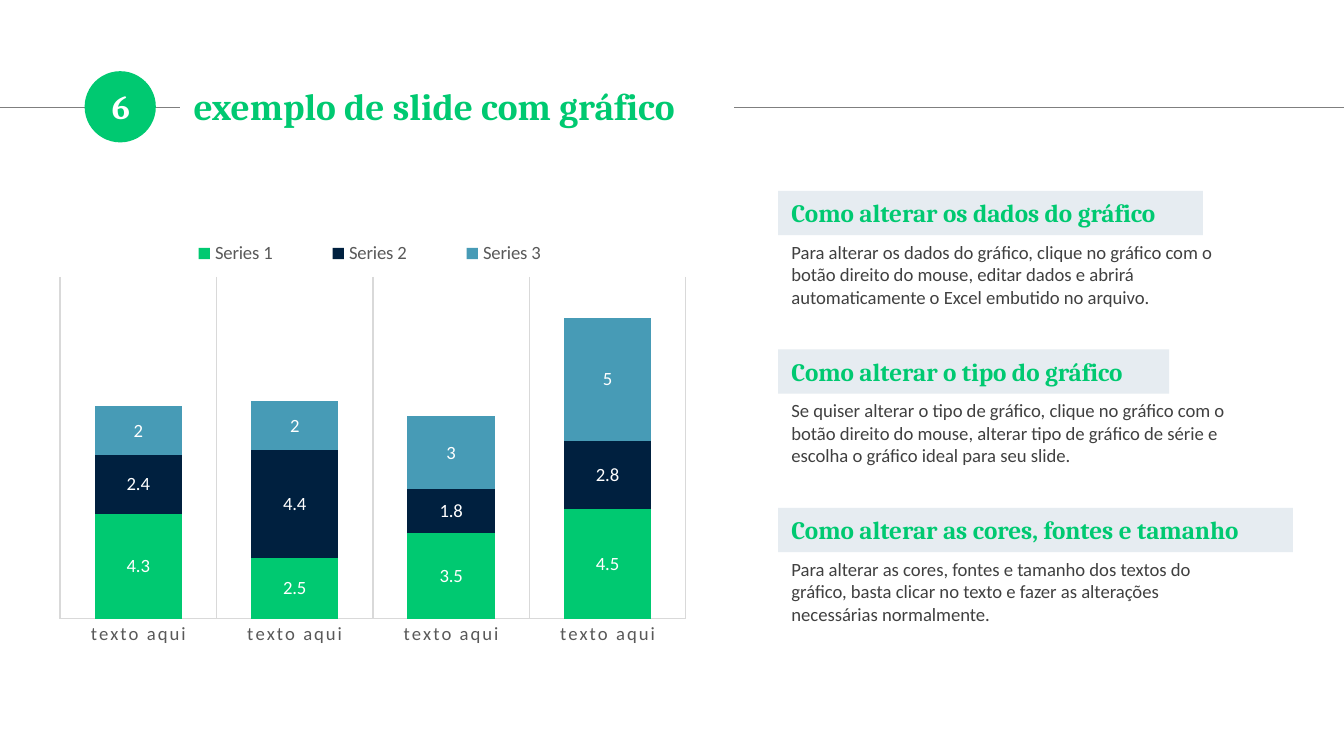
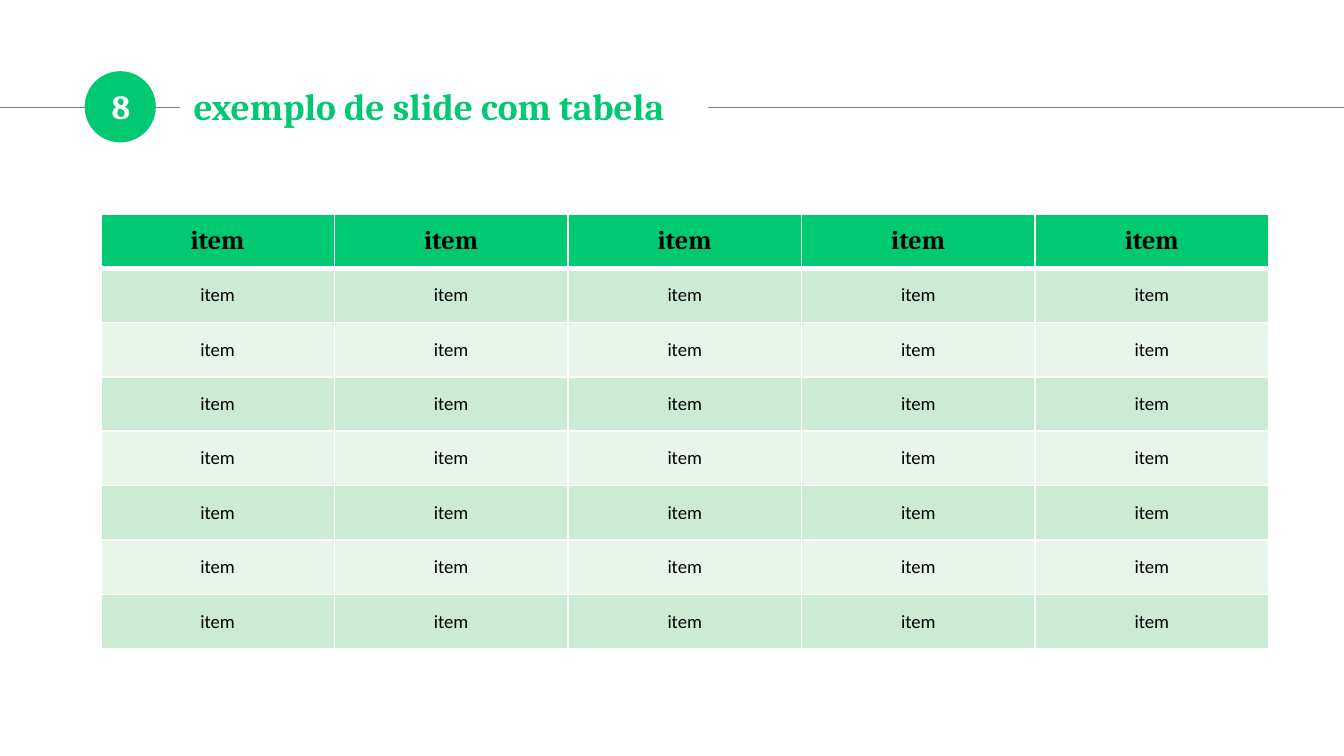
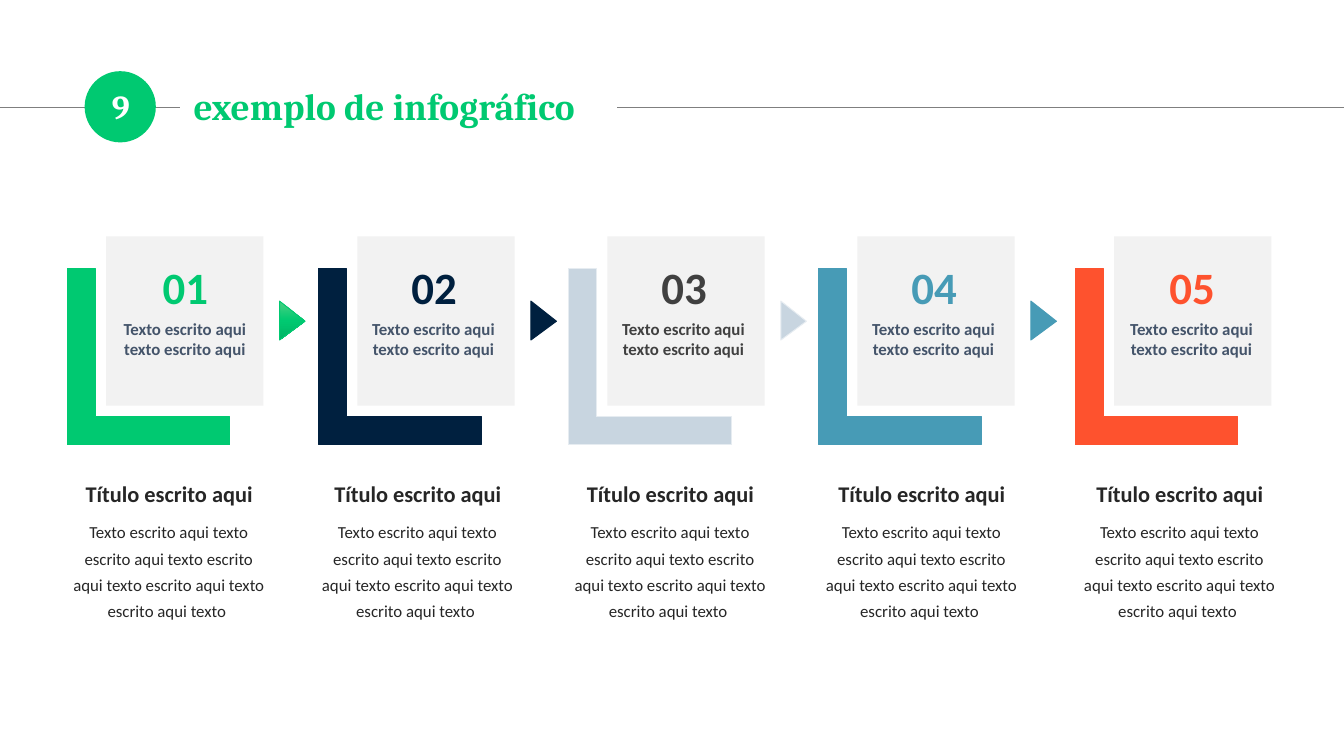
"""Build three example slides: a chart, a table and an infographic."""
from copy import deepcopy
from dataclasses import dataclass

from lxml.etree import SubElement
from pptx import Presentation
from pptx.chart.data import CategoryChartData
from pptx.dml.color import RGBColor
from pptx.enum.chart import XL_CHART_TYPE as ChartType
from pptx.enum.chart import XL_LABEL_POSITION as LabelPos
from pptx.enum.chart import XL_LEGEND_POSITION as LegendPos
from pptx.enum.chart import XL_TICK_MARK as Tick
from pptx.enum.shapes import MSO_CONNECTOR as Connector
from pptx.enum.shapes import MSO_SHAPE as Shape
from pptx.enum.text import MSO_ANCHOR as Anchor
from pptx.enum.text import MSO_AUTO_SIZE as AutoSize
from pptx.enum.text import PP_ALIGN as Align
from pptx.oxml.ns import qn
from pptx.util import Inches, Pt

COLORS = {
    "green": "00C971", "light_green": "4BD082", "dark_green": "00B364",
    "navy": "00203F", "blue": "479BB6", "orange": "FE522E",
    "mist": "C8D5E0", "pale": "E6ECF1", "panel": "F2F2F2",
    "white": "FFFFFF", "black": "000000", "ink": "262626",
    "text": "404040", "slate": "44546A", "label": "595959",
    "rule": "7F7F7F", "grid": "D9D9D9",
    "band_dark": "CCEBD5", "band_light": "E7F5EB",
}

STYLES = {
    "title": {"name": "Cambria", "size": Pt(20), "bold": True},
    "badge": {"name": "Cambria", "size": Pt(18), "bold": True},
    "heading": {"name": "Cambria", "size": Pt(13.5), "bold": True},
    "header": {"name": "Cambria", "size": Pt(14), "bold": True},
    "body": {"name": "Calibri", "size": Pt(10), "bold": False},
    "number": {"name": "Calibri", "size": Pt(24), "bold": True},
    "note": {"name": "Calibri", "size": Pt(9), "bold": True},
    "caption": {"name": "Calibri", "size": Pt(12), "bold": True},
    "detail": {"name": "Calibri", "size": Pt(9), "bold": False},
}

HEADER_SPACING = {"line_spacing": 0.9, "space_before": Pt(7.5)}


@dataclass
class Tip:
    """A highlighted heading with an explanation under it."""
    heading: str
    text: str
    top: float
    width: float
    text_height: float


@dataclass
class Step:
    """One column of the infographic."""
    color: str
    outline: str
    number_color: str
    note_color: str
    left: float
    note_left: float
    caption_left: float


TIPS = [
    Tip("Como alterar os dados do gráfico",
        "Para alterar os dados do gráfico, clique no gráfico com o botão direito do mouse, "
        "editar dados e abrirá automaticamente o Excel embutido no arquivo.",
        1.42, 3.16, 0.61),
    Tip("Como alterar o tipo do gráfico",
        "Se quiser alterar o tipo de gráfico, clique no gráfico com o botão direito do mouse, "
        "alterar tipo de gráfico de série e escolha o gráfico ideal para seu slide.",
        2.6, 2.91, 0.77),
    Tip("Como alterar as cores, fontes e tamanho",
        "Para alterar as cores, fontes e tamanho dos textos do gráfico, basta clicar no texto "
        "e fazer as alterações necessárias normalmente.",
        3.78, 3.83, 0.61),
]

SERIES = {
    "Series 1": ("green", (4.3, 2.5, 3.5, 4.5)),
    "Series 2": ("navy", (2.4, 4.4, 1.8, 2.8)),
    "Series 3": ("blue", (2, 2, 3, 5)),
}

STEPS = [
    Step("green", "green", "green", "slate", 0.5, 0.81, 0.38),
    Step("navy", "navy", "navy", "slate", 2.37, 2.66, 2.23),
    Step("mist", "pale", "text", "text", 4.23, 4.52, 4.11),
    Step("blue", "blue", "blue", "slate", 6.09, 6.38, 5.98),
    Step("orange", "orange", "orange", "slate", 8, 8.3, 7.9),
]


def rgb(name: str) -> RGBColor:
    """Return a palette colour."""
    return RGBColor.from_string(COLORS[name])


def set_font(font, style: str, color: str) -> None:
    """Apply a named style and a colour to a font."""
    for key, value in STYLES[style].items():
        setattr(font, key, value)
    font.color.rgb = rgb(color)


def write(tf, text: str, style: str, color: str, **formats):
    """Write one formatted paragraph and return it."""
    p = tf.paragraphs[0]
    for key, value in formats.items():
        setattr(p, key, value)
    r = p.add_run()
    r.text = text
    set_font(r.font, style, color)
    return p


def place(sp, left: float, top: float, width: float, height: float) -> None:
    """Move and size a shape in inches."""
    box = {"left": left, "top": top, "width": width, "height": height}
    for key, value in box.items():
        setattr(sp, key, Inches(value))


def paint(sp, fill: str, outline: str | None = None):
    """Give a shape a flat fill and an optional thin outline."""
    sp.shadow.inherit = False
    sp.fill.solid()
    sp.fill.fore_color.rgb = rgb(fill)
    if outline:
        sp.line.color.rgb = rgb(outline)
        sp.line.width = Pt(0.5)
    else:
        sp.line.fill.background()
    return sp


def add_block(s, kind, box: tuple, fill: str):
    """Add a plain filled preset shape."""
    return paint(s.shapes.add_shape(kind, *map(Inches, box)), fill)


def add_text(s, box: tuple, text: str, style: str, color: str, **formats) -> None:
    """Add a wrapping text box that grows with its text."""
    tf = s.shapes.add_textbox(*map(Inches, box)).text_frame
    tf.word_wrap = True
    tf.auto_size = AutoSize.SHAPE_TO_FIT_TEXT
    write(tf, text, style, color, **formats)


def add_outline(s, points: list, fill: str, outline: str):
    """Add a closed freeform through points given in inches."""
    (x, y), *rest = [(Inches(px), Inches(py)) for px, py in points]
    builder = s.shapes.build_freeform(x, y)
    builder.add_line_segments(rest, close=True)
    return paint(builder.convert_to_shape(), fill, outline)


def add_slide(prs, number: str, title: str, title_width: float):
    """Add a slide with the shared rule, numbered circle and title."""
    s = prs.slides.add_slide(prs.slide_layouts[1])
    rule = s.shapes.add_connector(
        Connector.STRAIGHT, 0, Inches(0.8), prs.slide_width, Inches(0.8))
    rule.line.color.rgb = rgb("rule")
    rule.line.width = Pt(0.75)
    SubElement(rule._element.spPr, qn("a:effectLst"))
    circle = add_block(s, Shape.OVAL, (0.63, 0.53, 0.53, 0.53), "green")
    for i, sp in enumerate((rule, circle), start=2):
        s.shapes._spTree.insert(i, sp._element)

    heading, badge = s.shapes.title, s.placeholders[1]
    place(heading, 1.34, 0.58, title_width, 0.45)
    heading.fill.solid()
    heading.fill.fore_color.rgb = rgb("white")
    place(badge, 0.55, 0.6, 0.7, 0.41)
    for sp in (heading, badge):
        sp.text_frame.auto_size = AutoSize.NONE
        sp.text_frame.vertical_anchor = Anchor.MIDDLE
    write(heading.text_frame, title, "title", "green", alignment=Align.LEFT, **HEADER_SPACING)
    p = write(badge.text_frame, number, "badge", "white",
              alignment=Align.CENTER, **HEADER_SPACING)
    pPr = p._p.get_or_add_pPr()
    pPr.set("marL", "0")
    pPr.set("indent", "0")
    SubElement(pPr, qn("a:buNone"))
    return s


def set_layout(parent, index: int, inner: bool, **box: float) -> None:
    """Fix the position of a chart part as fractions of the chart."""
    for old in parent.findall(qn("c:layout")):
        parent.remove(old)
    layout = SubElement(parent, qn("c:layout"))
    parent.insert(index, layout)
    manual = SubElement(layout, qn("c:manualLayout"))
    if inner:
        SubElement(manual, qn("c:layoutTarget")).set("val", "inner")
    for mode in ("xMode", "yMode"):
        SubElement(manual, qn(f"c:{mode}")).set("val", "edge")
    for key, value in box.items():
        SubElement(manual, qn(f"c:{key}")).set("val", str(value))


def add_stacked_chart(s) -> None:
    """Add the stacked column chart."""
    data = CategoryChartData()
    data.categories = ["texto aqui"] * 4
    for name, (_, values) in SERIES.items():
        data.add_series(name, values)
    box = map(Inches, (0.35, 1.68, 4.85, 3.18))
    chart = s.shapes.add_chart(ChartType.COLUMN_STACKED, *box, data).chart
    chart.has_title = False
    set_font(chart.font, "body", "black")

    chart.has_legend = True
    legend = chart.legend
    legend.position = LegendPos.TOP
    legend.include_in_layout = False
    set_font(legend.font, "body", "label")
    set_layout(legend._element, 1, False, x=0.15, y=0.02, w=0.69, h=0.09)
    set_layout(chart._chartSpace.chart.plotArea, 0, True, x=0.02, y=0.12, w=0.96, h=0.8)

    values = chart.value_axis
    values.visible = False
    values.has_major_gridlines = False
    values.minimum_scale, values.maximum_scale = 0, 14
    axis = chart.category_axis
    axis.has_major_gridlines = True
    axis.major_tick_mark = axis.minor_tick_mark = Tick.NONE
    for line in (axis.format.line, axis.major_gridlines.format.line):
        line.color.rgb = rgb("grid")
        line.width = Pt(0.75)
    font = axis.tick_labels.font
    set_font(font, "body", "label")
    font._rPr.set("spc", "120")

    plot = chart.plots[0]
    plot.gap_width, plot.overlap, plot.vary_by_categories = 79, 100, False
    for series, (color, _) in zip(plot.series, SERIES.values()):
        series.format.fill.solid()
        series.format.fill.fore_color.rgb = rgb(color)
        labels = series.data_labels
        labels.show_value = True
        labels.position = LabelPos.CENTER
        set_font(labels.font, "body", "white")


def add_tip(s, tip: Tip) -> None:
    """Add a highlighted heading and its explanation."""
    add_text(s, (5.79, tip.top + 0.32, 3.42, tip.text_height), tip.text, "body", "text")
    band = add_block(s, Shape.RECTANGLE, (5.79, tip.top, tip.width, 0.33), "pale")
    tf = band.text_frame
    tf.word_wrap = False
    tf.auto_size = AutoSize.SHAPE_TO_FIT_TEXT
    tf.vertical_anchor = Anchor.TOP
    write(tf, tip.heading, "heading", "green", alignment=Align.LEFT)


def set_borders(cell, **widths: float) -> None:
    """Draw white cell borders with widths in points, keyed by side."""
    tcPr = cell._tc.get_or_add_tcPr()
    for side, width in widths.items():
        ln = SubElement(tcPr, qn(f"a:ln{side}"), w=str(Pt(width)))
        fill = SubElement(ln, qn("a:solidFill"))
        SubElement(fill, qn("a:srgbClr"), val=COLORS["white"])


def add_item_table(s, rows: int = 8, cols: int = 5) -> None:
    """Add the banded table with its header row."""
    box = map(Inches, (0.75, 1.59, 8.69, 3.24))
    table = s.shapes.add_table(rows, cols, *box).table
    for i, row in enumerate(table.rows):
        style = "body" if i else "header"
        fill = ("band_dark" if i % 2 else "band_light") if i else "green"
        for cell in row.cells:
            set_borders(cell, L=1, R=1, T=3 if i == 1 else 1, B=1 if i else 3)
            cell.fill.solid()
            cell.fill.fore_color.rgb = rgb(fill)
            cell.vertical_anchor = Anchor.MIDDLE
            write(cell.text_frame, "item", style, "black", alignment=Align.CENTER)


def shade(sp, names: tuple) -> None:
    """Fill a shape with an even three-stop gradient from top to bottom."""
    sp.fill.gradient()
    sp.fill.gradient_angle = 270
    first = sp.fill.gradient_stops[0]._gs
    first.addnext(deepcopy(first))
    for i, (stop, name) in enumerate(zip(sp.fill.gradient_stops, names)):
        stop.position = i / 2
        stop.color.rgb = rgb(name)


def add_step(s, index: int, step: Step) -> None:
    """Add one infographic column, with an arrow unless it is the last."""
    x = step.left
    add_block(s, Shape.RECTANGLE, (x + 0.29, 1.76, 1.17, 1.26), "panel")
    bracket = [(x + 0.21, 3.1), (x + 0.21, 2), (x, 2), (x, 3.31), (x + 1.21, 3.31),
               (x + 1.21, 3.1)]
    add_outline(s, bracket, step.color, step.outline)
    if index < len(STEPS):
        tail = x + 1.58
        points = [(tail, 2.53), (tail, 2.24), (tail + 0.19, 2.39)]
        arrow = add_outline(s, points, step.color, step.outline)
        if index == 1:
            shade(arrow, ("light_green", "green", "dark_green"))

    note, caption = step.note_left, step.caption_left
    center = {"alignment": Align.CENTER}
    add_text(s, (note, 2.32, 1.13, 0.56), "Texto escrito aqui texto escrito aqui",
             "note", step.note_color, **center)
    add_text(s, (note + 0.17, 1.88, 0.8, 0.5), f"{index:02}",
             "number", step.number_color, **center)
    add_text(s, (caption, 3.52, 1.76, 0.3), "Título escrito aqui", "caption", "ink", **center)
    add_text(s, (caption + 0.04, 3.79, 1.67, 0.88),
             "Texto escrito aqui" + " texto escrito aqui" * 4 + " texto ",
             "detail", "ink", line_spacing=1.3, **center)


def main() -> None:
    """Build and save the presentation."""
    prs = Presentation()
    prs.slide_width = Inches(10)
    prs.slide_height = prs.slide_width * 9 // 16

    s = add_slide(prs, "6", "exemplo de slide com gráfico", 4.12)
    add_stacked_chart(s)
    for tip in TIPS:
        add_tip(s, tip)

    s = add_slide(prs, "8", "exemplo de slide com tabela", 3.93)
    add_item_table(s)

    s = add_slide(prs, "9", "exemplo de infográfico", 3.25)
    for index, step in enumerate(STEPS, start=1):
        add_step(s, index, step)

    prs.save("out.pptx")


if __name__ == "__main__":
    main()
